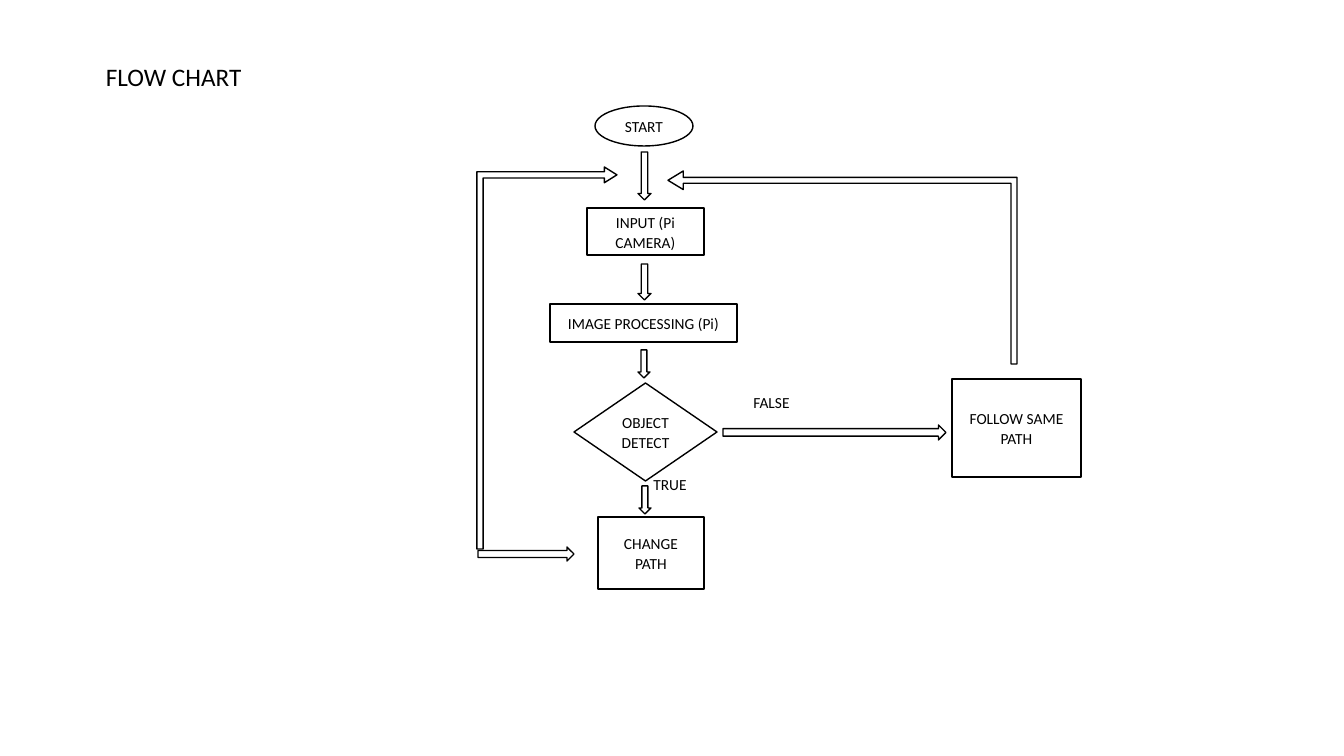
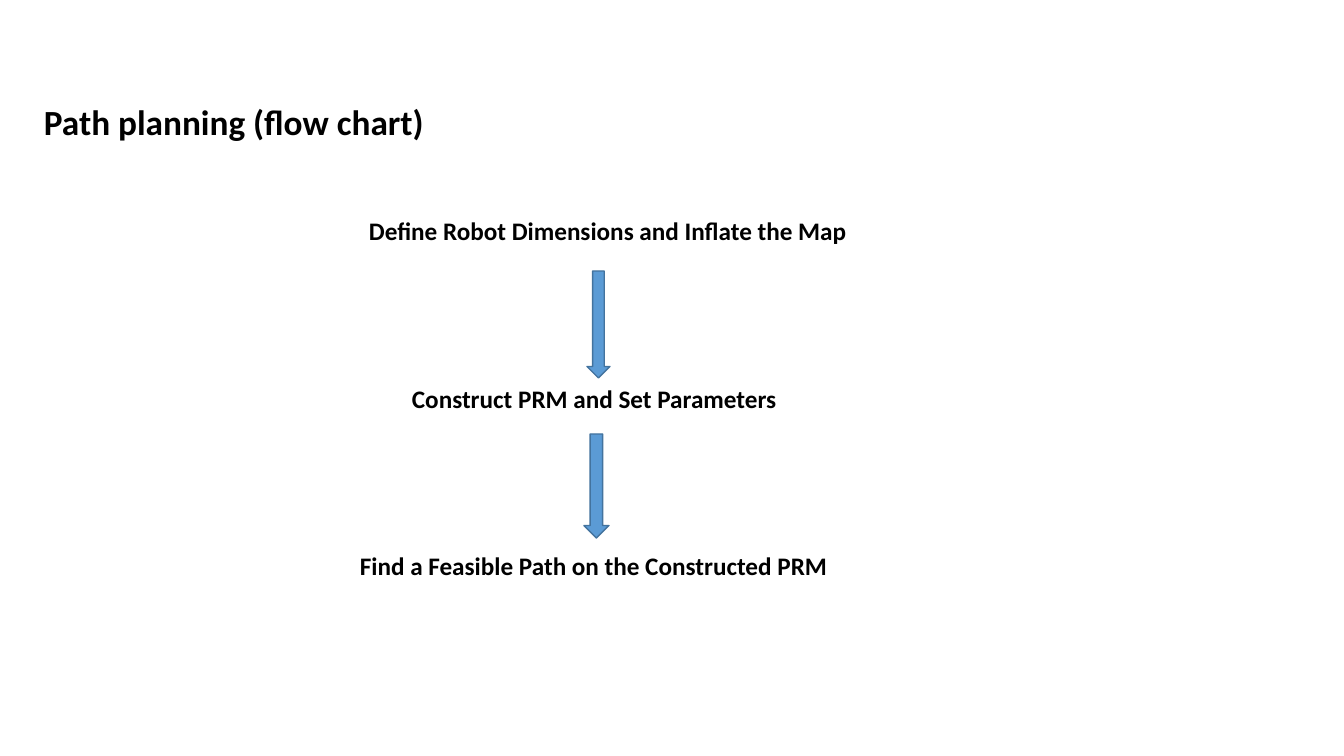
from pptx import Presentation
from pptx.dml.color import RGBColor
from pptx.enum.shapes import MSO_SHAPE
from pptx.enum.text import MSO_ANCHOR, PP_ALIGN
from pptx.util import Emu, Pt

RECTANGLE = MSO_SHAPE.RECTANGLE
OVAL = MSO_SHAPE.OVAL
DIAMOND = MSO_SHAPE.DIAMOND
DOWN_ARROW = MSO_SHAPE.DOWN_ARROW
RIGHT_ARROW = MSO_SHAPE.RIGHT_ARROW
BENT_ARROW = MSO_SHAPE.BENT_UP_ARROW
TOP, MIDDLE = MSO_ANCHOR.TOP, MSO_ANCHOR.MIDDLE
LEFT, CENTER = PP_ALIGN.LEFT, PP_ALIGN.CENTER

PX = 914400 / 100.8
FONT = "Calibri"
COLORS = {
    "white": "FFFFFF",
    "black": "000000",
    "blue": "5B9BD5",
    "blue_edge": "43739E",
}


def add_outlined(slide, kind, box, fill="white", line="black"):
    shape = slide.shapes.add_shape(kind, *[Emu(round(value * PX)) for value in box])
    shape.shadow.inherit = False
    shape.fill.solid()
    shape.fill.fore_color.rgb = RGBColor.from_string(COLORS[fill])
    shape.line.color.rgb = RGBColor.from_string(COLORS[line])
    shape.line.width = Pt(1)
    return shape


def write(shape, text, size, bold=False, align=LEFT, anchor=TOP, spacing=1.0):
    frame = shape.text_frame
    frame.word_wrap = True
    frame.vertical_anchor = anchor
    frame.text = text
    paragraph = frame.paragraphs[0]
    paragraph.alignment = align
    paragraph.line_spacing = spacing
    paragraph.font.name = FONT
    paragraph.font.size = Pt(size)
    paragraph.font.bold = bold
    paragraph.font.color.rgb = RGBColor.from_string(COLORS["black"])


presentation = Presentation()
presentation.slide_width = Emu(round(1344 * PX))
presentation.slide_height = Emu(round(756 * PX))
blank_layout = presentation.slide_layouts[6]
flow_slide = presentation.slides.add_slide(blank_layout)
planning_slide = presentation.slides.add_slide(blank_layout)

nodes = [
    (OVAL, (595, 106, 98, 40), "START"),
    (RECTANGLE, (587, 208, 117, 47), "INPUT (Pi CAMERA)"),
    (RECTANGLE, (550, 304, 187, 38), "IMAGE PROCESSING (Pi)"),
    (DIAMOND, (574, 383, 143, 98), "OBJECT DETECT"),
    (RECTANGLE, (598, 517, 106, 72), "CHANGE\vPATH"),
    (RECTANGLE, (952, 379, 129, 98), "FOLLOW SAME PATH"),
]
for kind, box, text in nodes:
    node = add_outlined(flow_slide, kind, box)
    write(node, text, 11, align=CENTER, anchor=MIDDLE, spacing=1.07)

straight_arrows = [
    (DOWN_ARROW, (638, 152, 13, 48)),
    (DOWN_ARROW, (638, 264, 13, 36)),
    (DOWN_ARROW, (638, 350, 12, 28)),
    (DOWN_ARROW, (639, 486, 12, 28)),
    (RIGHT_ARROW, (723, 425, 223, 15)),
    (RIGHT_ARROW, (478, 547, 96, 14)),
]
for kind, box in straight_arrows:
    add_outlined(flow_slide, kind, box)

return_arrows = [
    ((746, 93, 193, 349), 270, (0.031, 0.048, 0.079), False),
    ((356, 288, 382, 140), 90, (0.044, 0.056, 0.09), True),
]
for box, rotation, adjustments, flipped in return_arrows:
    arrow = add_outlined(flow_slide, BENT_ARROW, box)
    arrow.rotation = rotation
    for index, value in enumerate(adjustments):
        arrow.adjustments[index] = value
    if flipped:
        arrow._element.spPr.xfrm.set("flipH", "1")

branch_style = {"size": 11, "align": CENTER, "anchor": MIDDLE, "spacing": 1.07}
step_style = {"size": 18, "bold": True}
labels = [
    (flow_slide, (616, 465, 108, 38), "TRUE", branch_style),
    (flow_slide, (732, 383, 79, 38), "FALSE", branch_style),
    (flow_slide, (96, 56, 245, 72), "FLOW CHART", {"size": 18}),
    (planning_slide, (34, 102, 438, 45), "Path planning (flow chart)",
     {"size": 25.2, "bold": True, "anchor": MIDDLE, "spacing": 0.9}),
    (planning_slide, (359, 210, 525, 40),
     "Define Robot Dimensions and Inflate the Map", step_style),
    (planning_slide, (402, 378, 389, 40),
     "Construct PRM and Set Parameters", step_style),
    (planning_slide, (350, 545, 496, 40),
     "Find a Feasible Path on the Constructed PRM", step_style),
]
for slide, box, text, style in labels:
    label = slide.shapes.add_textbox(*[Emu(round(value * PX)) for value in box])
    write(label, text, **style)

for box in [(587, 271, 23, 107), (584, 434, 25, 104)]:
    add_outlined(planning_slide, DOWN_ARROW, box, "blue", "blue_edge")

presentation.save("out.pptx")
